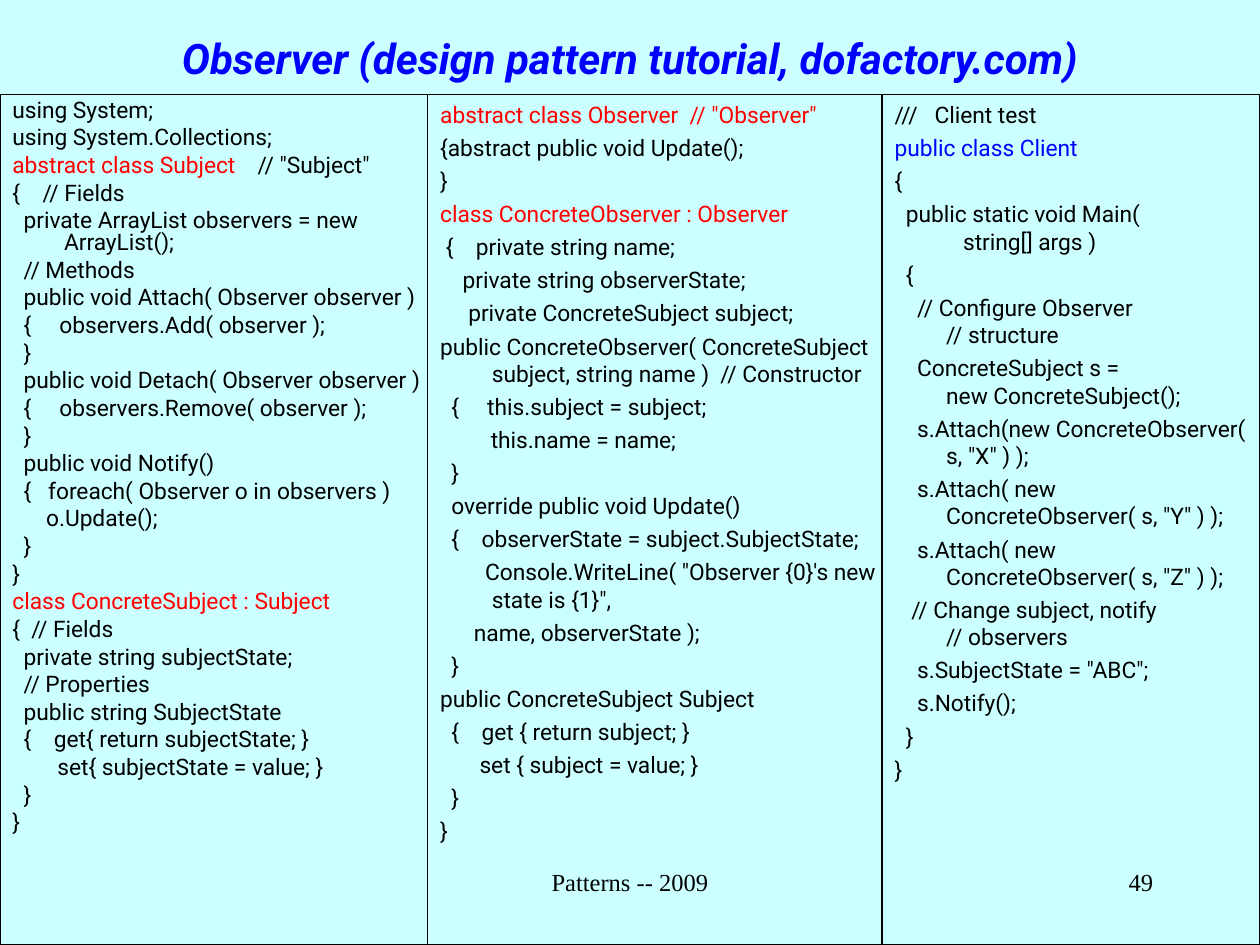
import pptx
import pptx.dml.color
import pptx.enum.shapes
import pptx.enum.text
import pptx.oxml.ns
import pptx.util
from lxml import etree

Pt = pptx.util.Pt
RGBColor = pptx.dml.color.RGBColor
PP_ALIGN = pptx.enum.text.PP_ALIGN
MSO_ANCHOR = pptx.enum.text.MSO_ANCHOR

PALE_CYAN = RGBColor(0xCC, 0xFF, 0xFF)
BLACK = RGBColor(0, 0, 0)
RED = RGBColor(0xFF, 0, 0)
BLUE = RGBColor(0, 0, 0xFF)

CODE_SIZE = 13
HANGING = Pt(29.5)
COLUMN_TOP, COLUMN_HEIGHT = Pt(54), Pt(486)

# Line beginnings that are drawn in colour
HIGHLIGHTS = {
    "abstract class Subject": RED,
    "class ConcreteSubject : Subject": RED,
    'abstract class Observer  // "Observer"': RED,
    "class ConcreteObserver : Observer": RED,
    "public class Client": BLUE,
}

SUBJECT_CODE = """using System;
using System.Collections;
abstract class Subject    // "Subject"
{    // Fields
  private ArrayList observers = new ArrayList();
  // Methods
  public void Attach( Observer observer )
  {     observers.Add( observer );
  }
  public void Detach( Observer observer )
  {     observers.Remove( observer );
  }
  public void Notify()
  {   foreach( Observer o in observers )
      o.Update();
  }
}
class ConcreteSubject : Subject
{  // Fields
  private string subjectState;
  // Properties
  public string SubjectState
  {    get{ return subjectState; }
        set{ subjectState = value; }
  }
}"""

OBSERVER_CODE = """abstract class Observer  // "Observer"
{abstract public void Update();
}
class ConcreteObserver : Observer
 {    private string name;
    private string observerState;
     private ConcreteSubject subject;
public ConcreteObserver( ConcreteSubject subject, string name )  // Constructor
  {     this.subject = subject;
         this.name = name;
  }
  override public void Update()
  {    observerState = subject.SubjectState;
        Console.WriteLine( "Observer {0}'s new state is {1}",
      name, observerState );
  }
public ConcreteSubject Subject
  {    get { return subject; }
       set { subject = value; }
  }
}"""

# \v is a line break inside a paragraph
CLIENT_CODE = """///   Client test
public class Client
{
  public static void Main( \v   string[] args )
  {
    // Configure Observer\v// structure
    ConcreteSubject s = \vnew ConcreteSubject();
    s.Attach(new ConcreteObserver( s, "X" ) );
    s.Attach( new ConcreteObserver( s, "Y" ) );
    s.Attach( new ConcreteObserver( s, "Z" ) );
   // Change subject, notify \v// observers
    s.SubjectState = "ABC";
    s.Notify();
  }
}"""


def style_span(span, font, size, color):
    span.font.name = font
    span.font.size = Pt(size)
    span.font.color.rgb = color


def fill_column(column, code, line_spacing):
    """Frame a shape as a code column and write one paragraph per code line."""
    column.fill.solid()
    column.fill.fore_color.rgb = PALE_CYAN
    column.line.color.rgb = BLACK
    column.line.width = Pt(0.75)
    frame = column.text_frame
    frame.word_wrap = True
    frame.auto_size = pptx.enum.text.MSO_AUTO_SIZE.NONE
    frame.vertical_anchor = MSO_ANCHOR.TOP
    for number, line in enumerate(code.split("\n")):
        para = frame.add_paragraph() if number else frame.paragraphs[0]
        head = next((start for start in HIGHLIGHTS if line.startswith(start)), line)
        para.text = head
        if head != line:
            para.add_run().text = line[len(head):]
        properties = para._p.get_or_add_pPr()
        properties.set("marL", str(HANGING))
        properties.set("indent", str(-HANGING))
        etree.SubElement(properties, pptx.oxml.ns.qn("a:buNone"))
        para.alignment = PP_ALIGN.LEFT
        para.line_spacing = line_spacing
        para.space_before = Pt(3.3 if number else 0)
        for span in para.runs:
            style_span(span, "Roboto", CODE_SIZE, HIGHLIGHTS.get(span.text, BLACK))
        for line_break in para._p.findall(pptx.oxml.ns.qn("a:br")):
            etree.SubElement(line_break, pptx.oxml.ns.qn("a:rPr"), sz=str(CODE_SIZE * 100))


deck = pptx.Presentation()
deck.slide_width, deck.slide_height = Pt(720), Pt(540)
page = deck.slides.add_slide(deck.slide_layouts[1])
page.background.fill.solid()
page.background.fill.fore_color.rgb = PALE_CYAN

title = page.shapes.title
title.left, title.top, title.width, title.height = Pt(0), Pt(0), Pt(720), Pt(66)
title.text_frame.text = "Observer (design pattern tutorial, dofactory.com)"
title.text_frame.vertical_anchor = MSO_ANCHOR.MIDDLE
title.text_frame.paragraphs[0].alignment = PP_ALIGN.CENTER
title_span = title.text_frame.paragraphs[0].runs[0]
style_span(title_span, "Roboto", 24, BLUE)
title_span.font.bold = True
title_span.font.italic = True

for left, width, code, line_spacing in (
    (0, 264, SUBJECT_CODE, 0.8),
    (244.5, 265.5, OBSERVER_CODE, 1.0),
):
    column = page.shapes.add_shape(
        pptx.enum.shapes.MSO_SHAPE.RECTANGLE, Pt(left), COLUMN_TOP, Pt(width), COLUMN_HEIGHT)
    column.shadow.inherit = False
    fill_column(column, code, line_spacing)

client = page.placeholders[1]
client.left, client.top, client.width, client.height = Pt(504), COLUMN_TOP, Pt(216), COLUMN_HEIGHT
fill_column(client, CLIENT_CODE, 1.0)
column.element.addnext(client.element)  # the client column lies over the observer column

for left, width, text, alignment in (
    (246, 228, "Patterns -- 2009", PP_ALIGN.CENTER),
    (516, 150, "49", PP_ALIGN.RIGHT),
):
    footer = page.shapes.add_textbox(Pt(left), Pt(492), Pt(width), Pt(36))
    footer.text_frame.word_wrap = True
    footer.text_frame.text = text
    para = footer.text_frame.paragraphs[0]
    para.alignment = alignment
    style_span(para.runs[0], "Times New Roman", 14, BLACK)

deck.save("out.pptx")
